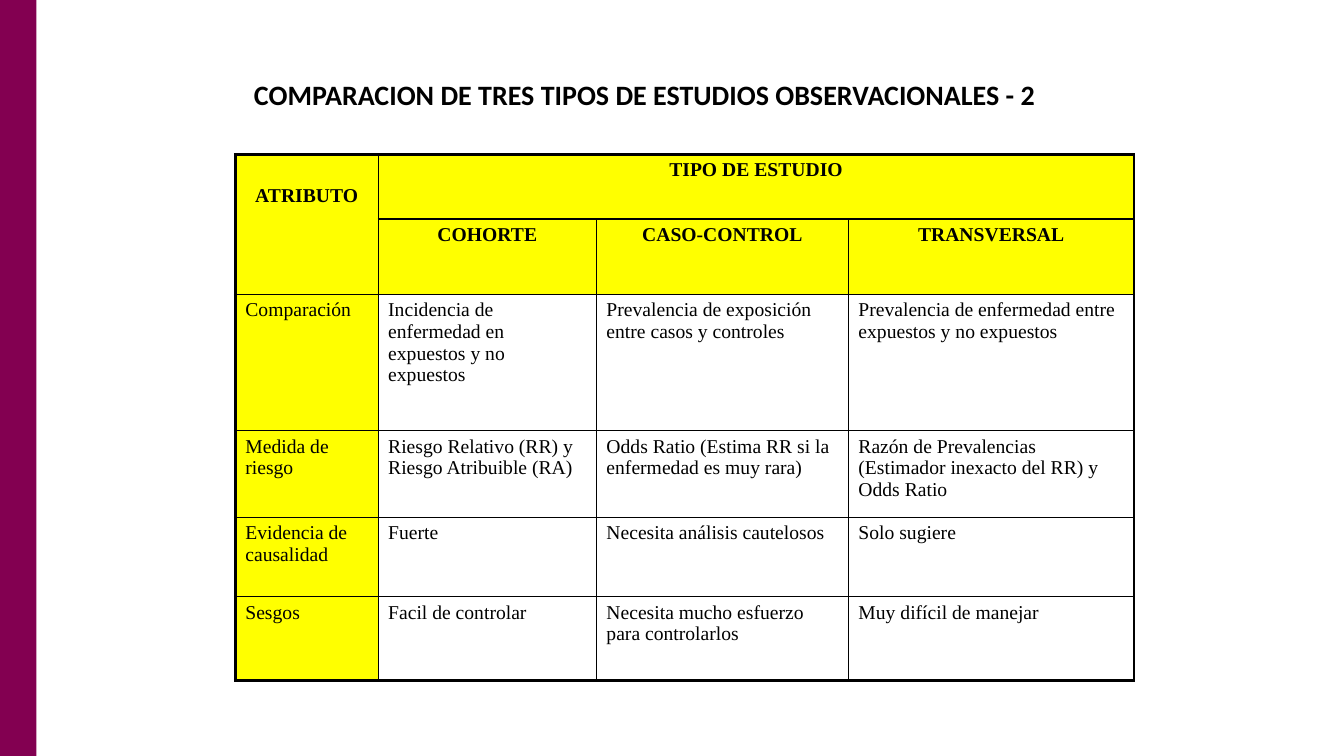
from dataclasses import dataclass

from lxml import etree
from pptx import Presentation
from pptx import util as u
from pptx.dml.color import RGBColor
from pptx.enum import shapes, text
from pptx.oxml import ns


@dataclass(frozen=True)
class Theme:
    sidebar: RGBColor = RGBColor(0x83, 0x00, 0x51)
    heading_fill: RGBColor = RGBColor(0xFF, 0xFF, 0x00)
    ink: RGBColor = RGBColor(0, 0, 0)
    title_font: str = "Calibri"
    table_font: str = "Times New Roman"
    title_size: float = 20
    table_size: float = 14
    outer_line: float = 2.25
    inner_line: float = 1


@dataclass(frozen=True)
class StudyRow:
    attribute: str
    cohort: str
    case_control: str
    cross_sectional: str
    height: float
    is_heading: bool = False

    def texts(self) -> list[str]:
        return [self.attribute, self.cohort, self.case_control, self.cross_sectional]


THEME = Theme()
TITLE = "COMPARACION DE TRES TIPOS DE ESTUDIOS OBSERVACIONALES - 2"
COLUMN_WIDTHS = [3.6, 5.5, 6.35, 7.2]
ROWS = [
    StudyRow("ATRIBUTO", "TIPO DE ESTUDIO", "", "", 1.63, True),
    StudyRow("", "COHORTE", "CASO-CONTROL", "TRANSVERSAL", 1.9, True),
    StudyRow(
        "Comparación",
        "Incidencia de enfermedad en expuestos y no expuestos",
        "Prevalencia de exposición entre casos y controles",
        "Prevalencia de enfermedad entre expuestos y no expuestos",
        3.43,
    ),
    StudyRow(
        "Medida de riesgo",
        "Riesgo Relativo (RR) y Riesgo Atribuible (RA)",
        "Odds Ratio (Estima RR si la enfermedad es muy rara)",
        "Razón de Prevalencias (Estimador inexacto del RR) y Odds Ratio",
        2.18,
    ),
    StudyRow("Evidencia de causalidad", "Fuerte", "Necesita análisis cautelosos", "Solo sugiere", 2.01),
    StudyRow(
        "Sesgos",
        "Facil de controlar",
        "Necesita mucho esfuerzo para controlarlos",
        "Muy difícil de manejar",
        2.11,
    ),
]


def add_run(paragraph, content: str, font_name: str, size: float, bold: bool) -> None:
    run = paragraph.add_run()
    run.text = content
    run.font.name = font_name
    run.font.size = u.Pt(size)
    run.font.bold = bold
    run.font.color.rgb = THEME.ink


def add_sidebar(slide, height: int) -> None:
    shape = slide.shapes.add_shape(shapes.MSO_SHAPE.RECTANGLE, 0, 0, u.Cm(0.92), height)
    shape.shadow.inherit = False
    shape.fill.solid()
    shape.fill.fore_color.rgb = THEME.sidebar
    shape.line.fill.background()


def add_title(slide) -> None:
    shape = slide.shapes.add_textbox(u.Cm(6.15), u.Cm(1.7), u.Cm(21.59), u.Cm(1.47))
    frame = shape.text_frame
    frame.word_wrap = True
    frame.vertical_anchor = text.MSO_ANCHOR.MIDDLE
    paragraph = frame.paragraphs[0]
    paragraph.line_spacing = 0.9
    add_run(paragraph, TITLE, THEME.title_font, THEME.title_size, True)


def set_borders(cell, row: int, column: int) -> None:
    outer_sides = {
        "L": column == 0,
        "R": column == len(COLUMN_WIDTHS) - 1,
        "T": row == 0,
        "B": row == len(ROWS) - 1,
    }
    properties = cell._tc.get_or_add_tcPr()
    for side, is_outer in outer_sides.items():
        width = THEME.outer_line if is_outer else THEME.inner_line
        line = etree.SubElement(properties, ns.qn(f"a:ln{side}"), w=str(u.Pt(width)))
        fill = etree.SubElement(line, ns.qn("a:solidFill"))
        etree.SubElement(fill, ns.qn("a:srgbClr"), val=str(THEME.ink))


def fill_cell(cell, content: str, is_heading: bool, is_highlighted: bool) -> None:
    if is_highlighted:
        cell.fill.solid()
        cell.fill.fore_color.rgb = THEME.heading_fill
    else:
        cell.fill.background()
    if content:
        paragraph = cell.text_frame.paragraphs[0]
        if is_heading:
            paragraph.alignment = text.PP_ALIGN.CENTER
        add_run(paragraph, content, THEME.table_font, THEME.table_size, is_heading)


def add_study_table(slide) -> None:
    frame = slide.shapes.add_table(
        len(ROWS), len(COLUMN_WIDTHS), u.Cm(5.93), u.Cm(3.89),
        u.Cm(sum(COLUMN_WIDTHS)), u.Cm(sum(row.height for row in ROWS)),
    )
    table = frame.table
    table.first_row = False
    table.horz_banding = False
    for column, width in zip(table.columns, COLUMN_WIDTHS):
        column.width = u.Cm(width)
    for row_index, study_row in enumerate(ROWS):
        table.rows[row_index].height = u.Cm(study_row.height)
        for column_index, content in enumerate(study_row.texts()):
            cell = table.cell(row_index, column_index)
            set_borders(cell, row_index, column_index)
            is_highlighted = study_row.is_heading or column_index == 0
            fill_cell(cell, content, study_row.is_heading, is_highlighted)
    attribute_heading = table.cell(0, 0)
    attribute_heading.merge(table.cell(1, 0))
    attribute_heading.margin_top = u.Cm(0.78)
    table.cell(0, 1).merge(table.cell(0, 3))


def main() -> None:
    presentation = Presentation()
    presentation.slide_width = u.Cm(33.87)
    presentation.slide_height = u.Cm(19.05)
    slide = presentation.slides.add_slide(presentation.slide_layouts[6])
    add_sidebar(slide, presentation.slide_height)
    add_title(slide)
    add_study_table(slide)
    presentation.save("out.pptx")


if __name__ == "__main__":
    main()
